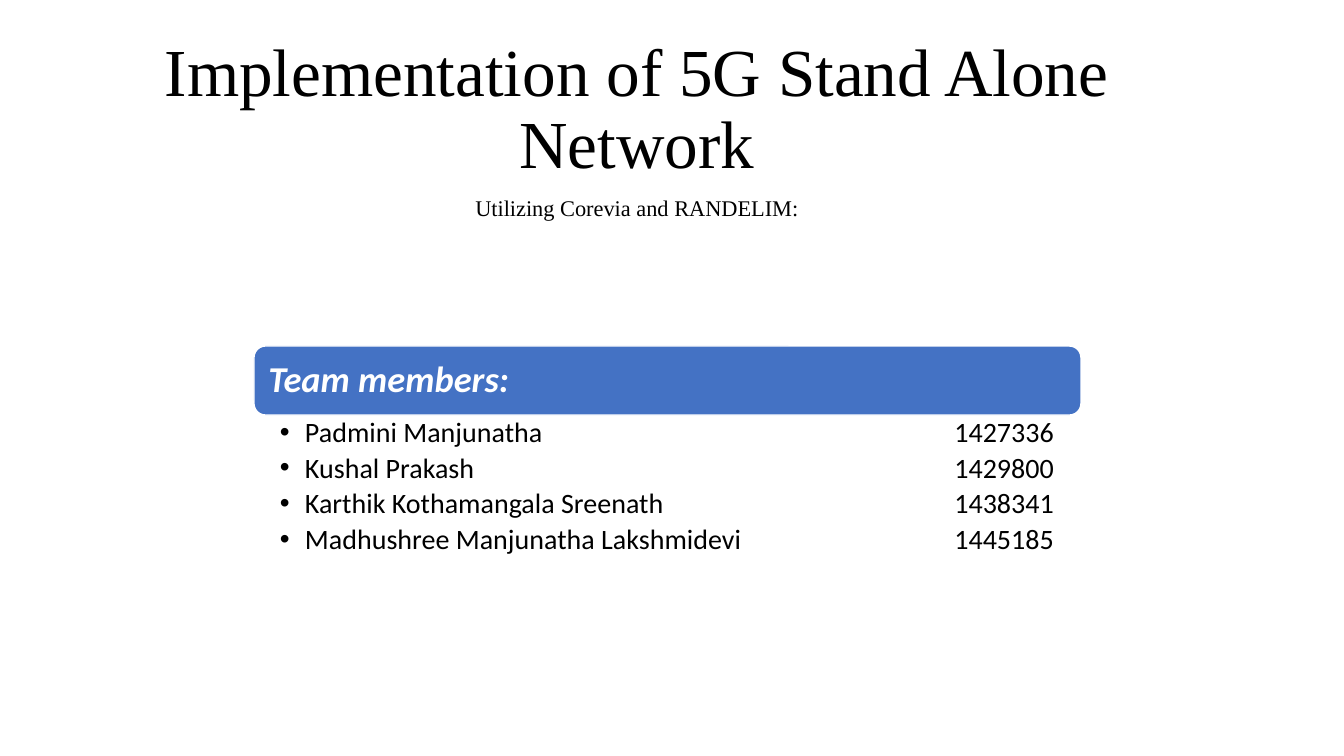
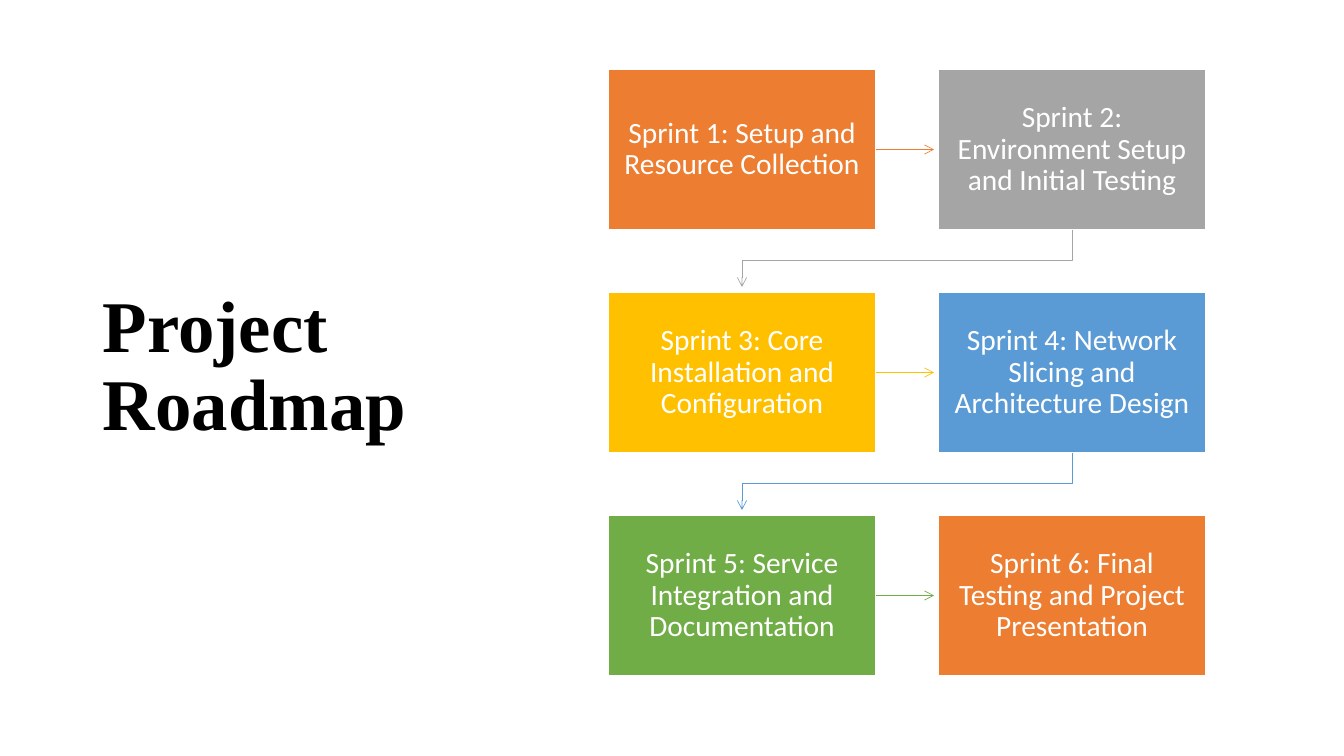
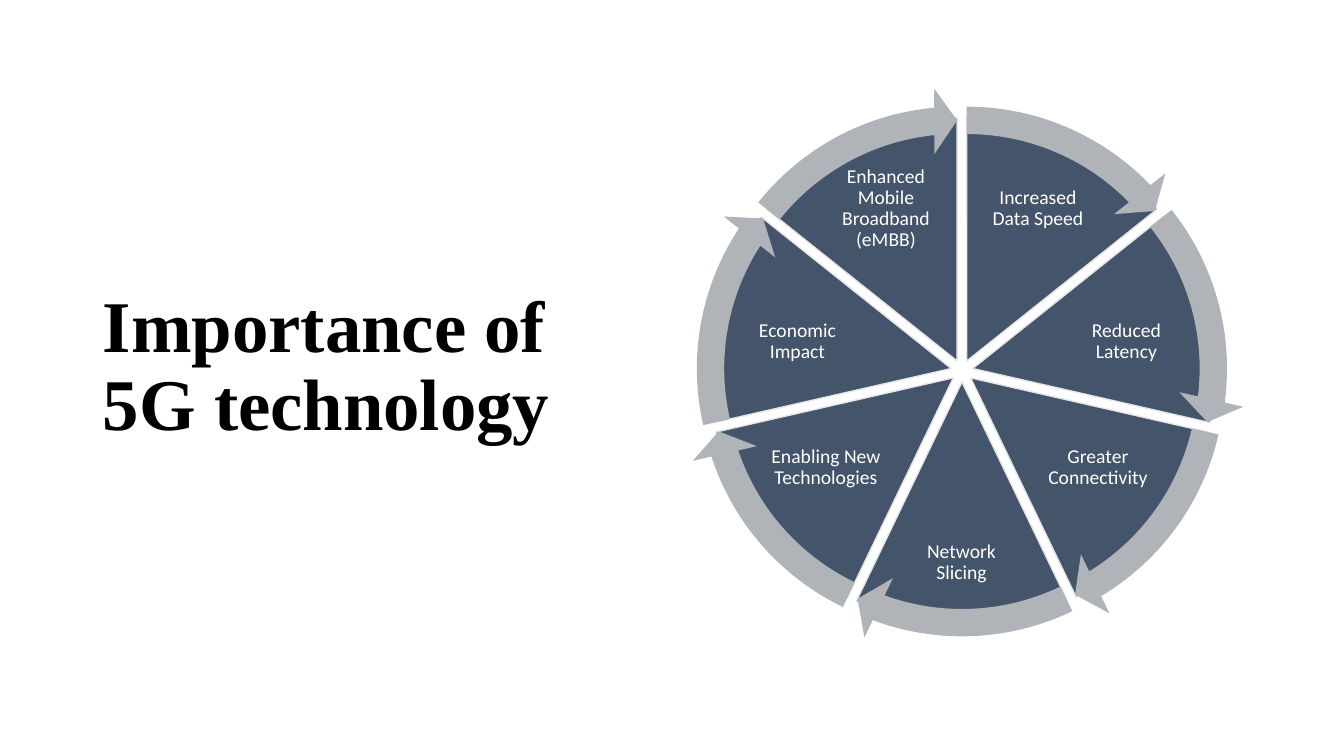
"""Build a three-slide deck about a 5G stand-alone network project."""
import math
from dataclasses import dataclass

from lxml import etree
from pptx import Presentation
from pptx import util as u
from pptx.dml.color import RGBColor
from pptx.enum import shapes, text
from pptx.oxml import ns


@dataclass(frozen=True)
class Theme:
    heading_font: str = "Times New Roman"
    body_font: str = "Calibri"
    black: RGBColor = RGBColor.from_string("000000")
    white: RGBColor = RGBColor.from_string("FFFFFF")
    blue: RGBColor = RGBColor.from_string("4472C4")
    navy: RGBColor = RGBColor.from_string("44546A")
    pale: RGBColor = RGBColor.from_string("E7E6E6")
    silver: RGBColor = RGBColor.from_string("B0B4B9")
    sprints: tuple = tuple(map(RGBColor.from_string, (
        "ED7D31", "A5A5A5", "FFC000", "5B9BD5", "70AD47", "ED7D31")))
    cover_size: int = 48
    title_size: int = 52
    subtitle_size: int = 16
    banner_size: int = 26
    list_size: int = 20
    sprint_size: int = 21
    wedge_size: int = 14


THEME = Theme()
SCALE = 914400 / 100.8
CENTER, LEFT = text.PP_ALIGN.CENTER, text.PP_ALIGN.LEFT
MIDDLE, TOP = text.MSO_ANCHOR.MIDDLE, text.MSO_ANCHOR.TOP


def px(*lengths):
    return [u.Emu(round(length * SCALE)) for length in lengths]


def write(shape, words, size, color=THEME.white, font=THEME.body_font, bold=False,
          italic=False, align=CENTER, anchor=MIDDLE, insets=(10, 5, 10, 5)):
    frame = shape.text_frame
    frame.text = words
    frame.word_wrap = True
    frame.auto_size = text.MSO_AUTO_SIZE.NONE
    frame.vertical_anchor = anchor
    (frame.margin_left, frame.margin_top,
     frame.margin_right, frame.margin_bottom) = px(*insets)
    for para in frame.paragraphs:
        para.alignment = align
        para.line_spacing = 0.9
        para.space_before = para.space_after = u.Pt(0)
        for span in para.runs:
            span.font.name, span.font.size = font, u.Pt(size)
            span.font.bold, span.font.italic = bold, italic
            span.font.color.rgb = color


deck = Presentation()
deck.slide_width, deck.slide_height = px(1344, 756)

cover = deck.slides.add_slide(deck.slide_layouts[1])
title, members = cover.placeholders
title.left, title.top, title.width, title.height = px(128, 33, 1018, 300)
write(title, "Implementation of 5G Stand Alone Network\nUtilizing Corevia and RANDELIM:",
      THEME.cover_size, THEME.black, THEME.heading_font, anchor=TOP)
for para in title.text_frame.paragraphs:
    para.space_before = u.Pt(10)
para.runs[0].font.size = u.Pt(THEME.subtitle_size)

banner = cover.shapes.add_shape(shapes.MSO_SHAPE.ROUNDED_RECTANGLE, *px(254, 346, 827, 69))
banner.shadow.inherit = False
banner.fill.solid()
banner.fill.fore_color.rgb = THEME.blue
banner.line.color.rgb = THEME.white
banner.line.width = u.Pt(1)
write(banner, "Team members:", THEME.banner_size, bold=True, italic=True,
      align=LEFT, insets=(11, 11, 11, 11))

roster = (
    ("Padmini Manjunatha", "1427336"),
    ("Kushal Prakash", "1429800"),
    ("Karthik Kothamangala Sreenath", "1438341"),
    ("Madhushree Manjunatha Lakshmidevi", "1445185"),
)
members.left, members.top, members.width, members.height = px(254, 414, 827, 151)
write(members, "\n".join("\t".join(member) for member in roster), THEME.list_size,
      THEME.black, align=LEFT, anchor=TOP, insets=(26, 4, 0, 4))
indent, number_edge = px(25, 774)
for para in members.text_frame.paragraphs:
    para.space_after = u.Pt(4)
    properties = para._p.get_or_add_pPr()
    properties.set("marL", str(indent))
    properties.set("indent", str(-indent))
    etree.SubElement(properties, ns.qn("a:buChar"), char="•")
    tabs = etree.SubElement(properties, ns.qn("a:tabLst"))
    etree.SubElement(tabs, ns.qn("a:tab"), pos=str(number_edge), algn="r")

topics = []
for words, width in (("Project Roadmap", 372), ("Importance of 5G technology", 536)):
    page = deck.slides.add_slide(deck.slide_layouts[5])
    title = page.shapes.title
    title.left, title.top, title.width, title.height = px(93, 61, width, 614)
    write(title, words, THEME.title_size, THEME.black, THEME.heading_font,
          bold=True, align=LEFT)
    topics.append(page)
roadmap, importance = topics

sprints = (
    "Setup and Resource Collection",
    "Environment Setup and Initial Testing",
    "Core Installation and Configuration",
    "Network Slicing and Architecture Design",
    "Service Integration and Documentation",
    "Final Testing and Project Presentation",
)
grid_left, grid_top, box_width, box_height = 608, 69, 268, 161
column_step, row_step = 330, 223
for index, (words, color) in enumerate(zip(sprints, THEME.sprints)):
    row, column = divmod(index, 2)
    left, top = grid_left + column * column_step, grid_top + row * row_step
    box = roadmap.shapes.add_shape(shapes.MSO_SHAPE.RECTANGLE,
                                   *px(left, top, box_width, box_height))
    box.shadow.inherit = False
    box.fill.solid()
    box.fill.fore_color.rgb = color
    box.line.color.rgb = THEME.white
    box.line.width = u.Pt(1)
    write(box, f"Sprint {index + 1}: {words}", THEME.sprint_size, insets=(13, 14, 13, 14))
    if index == len(sprints) - 1:
        break
    if column == 0:
        middle = top + box_height / 2
        arrow = roadmap.shapes.add_connector(
            shapes.MSO_CONNECTOR.STRAIGHT,
            *px(left + box_width, middle, left + column_step - 4, middle))
        arrow.begin_connect(box, 3)
        etree.SubElement(arrow._element.spPr, ns.qn("a:effectLst"))
    else:
        start, bottom = left + box_width / 2, top + box_height
        end = start - column_step
        outline = roadmap.shapes.build_freeform(start, bottom, scale=SCALE)
        outline.add_line_segments(
            [(start, bottom + 30), (end, bottom + 30), (end, bottom + 57)], close=False)
        arrow = outline.convert_to_shape()
        arrow.shadow.inherit = False
        arrow.fill.background()
    arrow.line.color.rgb = color
    arrow.line.width = u.Pt(0.5)
    etree.SubElement(arrow.line._get_or_add_ln(), ns.qn("a:tailEnd"), type="arrow")

benefits = (
    "Increased Data Speed",
    "Reduced Latency",
    "Greater Connectivity",
    "Network Slicing",
    "Enabling New Technologies",
    "Economic Impact",
    "Enhanced Mobile Broadband (eMBB)",
)
label_slots = ((980, 162, 116, 93), (1060, 301, 133, 82),
               (1040, 423, 116, 90), (905, 522, 113, 82))
wheel_x, wheel_y, wedge_shift = 962, 371, 11
wedge_size, ring_size = 487, 547
full_turn, first_angle = 216, 162
sweep = full_turn / len(benefits)
rings = []
for index, words in enumerate(benefits):
    start = (first_angle + index * sweep) % full_turn
    end = (start + sweep) % full_turn
    heading = math.tau * (start + sweep / 2) / full_turn
    middle_x = wheel_x + wedge_shift * math.cos(heading)
    middle_y = wheel_y + wedge_shift * math.sin(heading)
    wedge = importance.shapes.add_shape(
        shapes.MSO_SHAPE.PIE,
        *px(middle_x - wedge_size / 2, middle_y - wedge_size / 2, wedge_size, wedge_size))
    wedge.adjustments[0], wedge.adjustments[1] = start, end
    wedge.shadow.inherit = False
    wedge.fill.solid()
    wedge.fill.fore_color.rgb = THEME.navy
    wedge.line.color.rgb = THEME.pale
    wedge.line.width = u.Pt(1)
    rings.append((middle_x, middle_y, start, end))

    mirror = len(benefits) - 1 - index
    left, top, width, height = label_slots[min(index, mirror)]
    if index > mirror:
        left = 2 * wheel_x - left - width
    label = importance.shapes.add_textbox(*px(left, top, width, height))
    write(label, words, THEME.wedge_size, insets=(2, 2, 2, 2))

for middle_x, middle_y, start, end in rings:
    ring = importance.shapes.add_shape(
        shapes.MSO_SHAPE.CIRCULAR_ARROW,
        *px(middle_x - ring_size / 2, middle_y - ring_size / 2, ring_size, ring_size))
    for position, value in enumerate((0.05, 3.28, end - 3.28, start, 0.06)):
        ring.adjustments[position] = value
    ring.shadow.inherit = False
    ring.fill.solid()
    ring.fill.fore_color.rgb = THEME.silver
    ring.line.fill.background()

deck.save("out.pptx")
